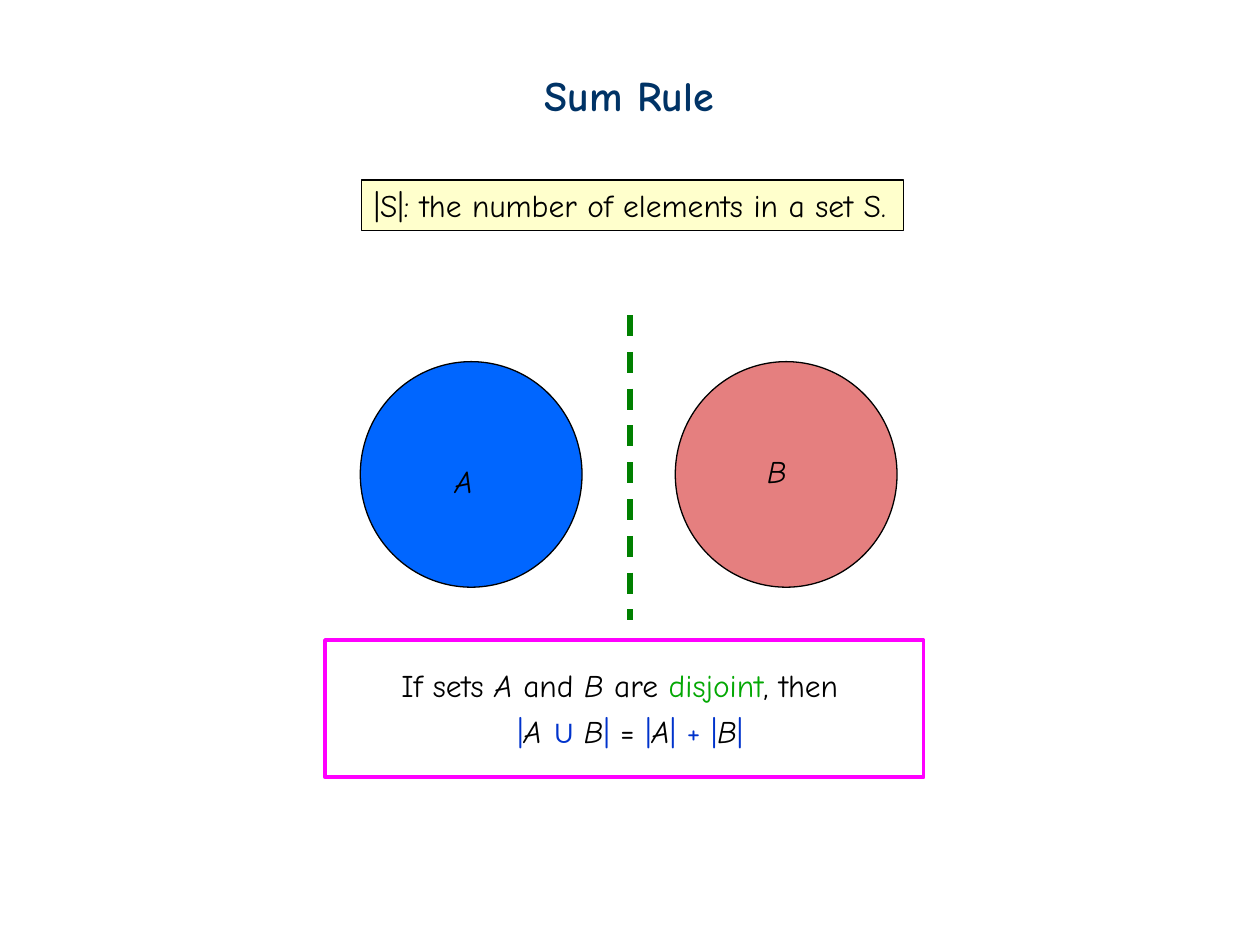
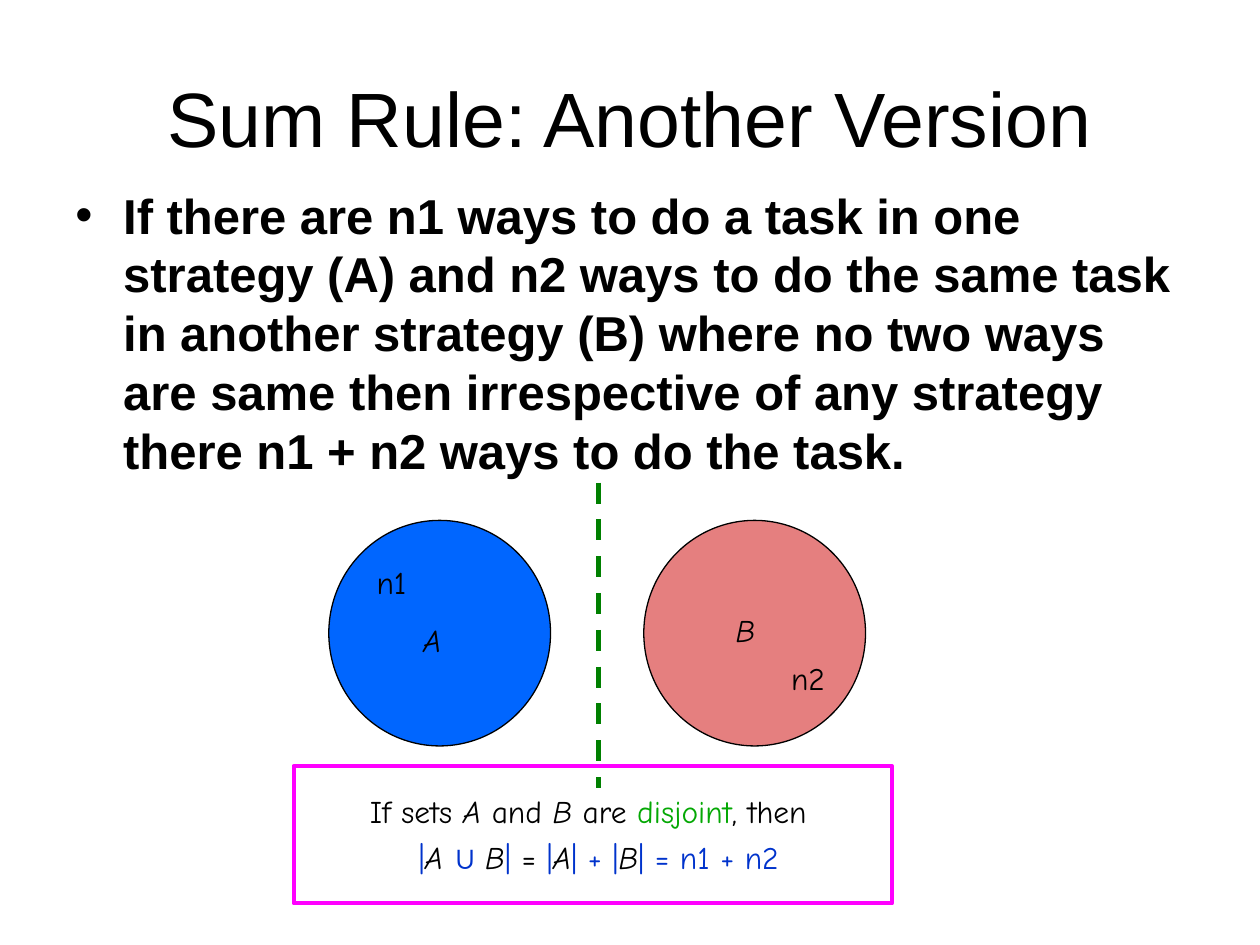
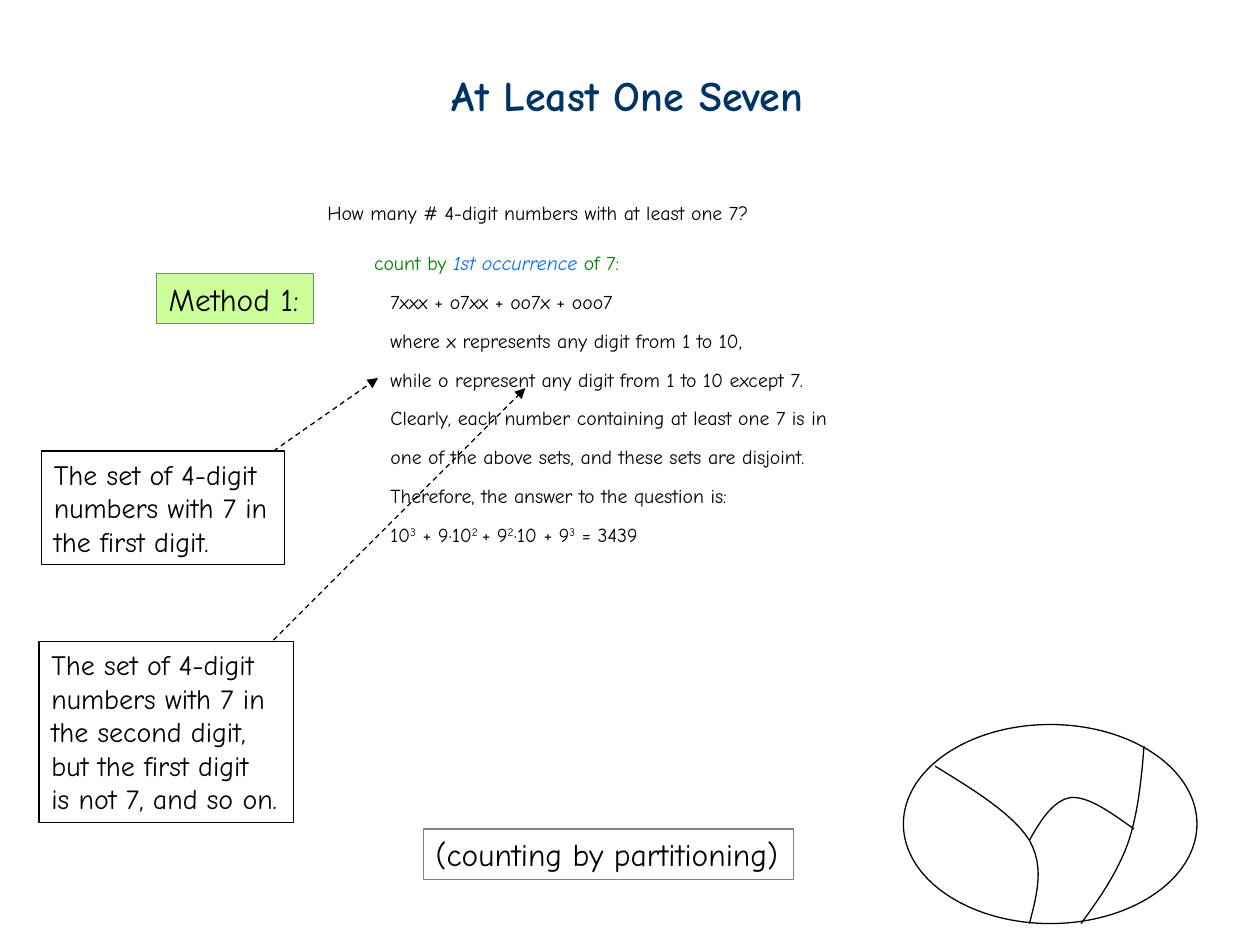
from lxml import etree
from pptx import Presentation
from pptx.dml.color import RGBColor
from pptx.enum.dml import MSO_LINE
from pptx.enum.shapes import MSO_CONNECTOR, MSO_SHAPE
from pptx.enum.text import MSO_ANCHOR, MSO_AUTO_SIZE, PP_ALIGN
from pptx.oxml.ns import qn
from pptx.util import Inches, Pt

BLACK = RGBColor(0x00, 0x00, 0x00)
NAVY = RGBColor(0x00, 0x33, 0x66)
BLUE = RGBColor(0x00, 0x66, 0xFF)
FORMULA_BLUE = RGBColor(0x00, 0x33, 0xCC)
RED = RGBColor(0xCC, 0x00, 0x00)
GREEN = RGBColor(0x00, 0x80, 0x00)
BRIGHT_GREEN = RGBColor(0x04, 0xA8, 0x04)
PALE_GREEN = RGBColor(0xCC, 0xFF, 0x99)
PALE_YELLOW = RGBColor(0xFF, 0xFF, 0xCC)
MAGENTA = RGBColor(0xFF, 0x00, 0xFF)
GRAY = RGBColor(0x80, 0x80, 0x80)

HAND_FONT = "Comic Neue"
PLAIN_FONT = "Arial"
OVAL = MSO_SHAPE.OVAL
RECTANGLE = MSO_SHAPE.RECTANGLE
CENTER = PP_ALIGN.CENTER
FIT_SHAPE = MSO_AUTO_SIZE.SHAPE_TO_FIT_TEXT
FIXED_SIZE = MSO_AUTO_SIZE.NONE
TITLE_ONLY = 5

ITALIC = {"italic": True}
FORMULA = {"color": FORMULA_BLUE}
RAISED = {"baseline": "30000"}


def add_text(slide, box, paragraphs, size=18, wrap=False, fill=None, line=None):
    """Add a text box; a paragraph is a string or a list of (text, format) runs."""
    shape = slide.shapes.add_textbox(*map(Inches, box))
    if fill is not None:
        shape.fill.solid()
        shape.fill.fore_color.rgb = fill
    if line is not None:
        shape.line.color.rgb = line
        shape.line.width = Pt(0.75)
    frame = shape.text_frame
    frame.word_wrap = wrap
    frame.auto_size = FIXED_SIZE if wrap else FIT_SHAPE
    for index, runs in enumerate(paragraphs):
        paragraph = frame.add_paragraph() if index else frame.paragraphs[0]
        paragraph.font.name = HAND_FONT
        paragraph.font.size = Pt(size)
        paragraph.font.color.rgb = BLACK
        for text, style in [(runs, {})] if isinstance(runs, str) else runs:
            run = paragraph.add_run()
            run.text = text
            if "color" in style:
                run.font.color.rgb = style["color"]
            if "italic" in style:
                run.font.italic = True
            if "font" in style:
                run.font.name = style["font"]
            if "baseline" in style:
                run.font._element.set("baseline", style["baseline"])
    return frame


def add_dashed_line(slide, start, end, color, width):
    connector = slide.shapes.add_connector(
        MSO_CONNECTOR.STRAIGHT, *map(Inches, (*start, *end)))
    connector.line.color.rgb = color
    connector.line.width = Pt(width)
    connector.line.dash_style = MSO_LINE.DASH
    etree.SubElement(connector._element.spPr, qn("a:effectLst"))
    return connector


presentation = Presentation()
presentation.slide_width = Inches(10)
presentation.slide_height = Inches(7.5)

# Titles
slides = []
for text, box, font, size, color, bold in [
    ("Sum Rule", (4.22, 0.5, 1.55, 0.5), HAND_FONT, 24, NAVY, True),
    ("Sum Rule: Another Version", (0.5, 0.3, 9, 1.25), PLAIN_FONT, 44, BLACK, False),
    ("At Least One Seven", (3.48, 0.5, 3, 0.5), HAND_FONT, 24, NAVY, True),
]:
    slide = presentation.slides.add_slide(presentation.slide_layouts[TITLE_ONLY])
    slides.append(slide)
    title = slide.shapes.title
    title.left, title.top, title.width, title.height = map(Inches, box)
    frame = title.text_frame
    frame.text = text
    frame.word_wrap = not bold
    frame.auto_size = FIXED_SIZE
    frame.vertical_anchor = MSO_ANCHOR.MIDDLE
    paragraph = frame.paragraphs[0]
    paragraph.alignment = CENTER
    paragraph.font.name = font
    paragraph.font.size = Pt(size)
    paragraph.font.color.rgb = color
    paragraph.font.bold = bold
sum_slide, version_slide, seven_slide = slides

# Second slide: the statement, placed under the diagram
statement = add_text(version_slide, (0.5, 1.42, 9, 4.95), [
    "If there are n1 ways to do a task in one strategy (A) and n2 ways to do the "
    "same task in another strategy (B) where no two ways are same then "
    "irrespective of any strategy there n1 + n2 ways to do the task."], 28, wrap=True)
paragraph = statement.paragraphs[0]
properties = paragraph._p.get_or_add_pPr()
properties.set("marL", str(Inches(0.38)))
properties.set("indent", str(-Inches(0.38)))
properties.insert(0, etree.Element(qn("a:buFont"), typeface=PLAIN_FONT))
properties.insert(1, etree.Element(qn("a:buChar"), char="•"))
paragraph.font.name = PLAIN_FONT
paragraph.font.bold = True

# Outlined shapes: two sets and a frame on each sum slide, the partition on the last
outlines = [(seven_slide, OVAL, (7.17, 5.75, 2.33, 1.58), None, BLACK, 0.75)]
diagrams = [
    (sum_slide, 2.58, 2.87, 2.5, 5.08, "|"),
    (version_slide, 2.33, 4.13, 3.83, 6.08, "| = n1 + n2"),
]
for slide, left, circle_top, divider_top, frame_top, ending in diagrams:
    outlines += [
        (slide, OVAL, (left + 0.28, circle_top, 1.76, 1.79), BLUE, BLACK, 0.75),
        (slide, OVAL, (left + 2.78, circle_top, 1.76, 1.79), RED, BLACK, 0.75),
        (slide, RECTANGLE, (left, frame_top, 4.75, 1.09), None, MAGENTA, 2.25),
    ]
for slide, preset, box, fill, line_color, width in outlines:
    shape = slide.shapes.add_shape(preset, *map(Inches, box))
    shape.shadow.inherit = False
    shape.line.color.rgb = line_color
    shape.line.width = Pt(width)
    if fill is None:
        shape.fill.background()
        continue
    shape.fill.solid()
    shape.fill.fore_color.rgb = fill
    if fill == RED:
        fill_color = shape._element.spPr.find(f"{qn('a:solidFill')}/{qn('a:srgbClr')}")
        etree.SubElement(fill_color, qn("a:alpha"), val="50000")

# Set names, divider and rule of each diagram
for slide, left, circle_top, divider_top, frame_top, ending in diagrams:
    add_text(slide, (left + 0.93, circle_top + 0.75, 0.34, 0.4), [[("A", ITALIC)]])
    add_text(slide, (left + 3.41, circle_top + 0.67, 0.35, 0.4), [[("B", ITALIC)]])
    middle = left + 2.42
    add_dashed_line(slide, (middle, divider_top), (middle, divider_top + 2.42), GREEN, 3)
    rule = add_text(slide, (left + 0.17, frame_top + 0.16, 4.42, 0.77), [
        [("If sets ", {}), ("A", ITALIC), (" and ", {}), ("B", ITALIC), (" are ", {}),
         ("disjoint", {"color": BRIGHT_GREEN}), (", then ", {})],
        [(" ", {}), ("|", FORMULA), ("A ", ITALIC),
         ("∪ ", {"color": FORMULA_BLUE, "font": PLAIN_FONT}), ("B", ITALIC),
         ("|", FORMULA), (" = ", {}), ("|", FORMULA), ("A", ITALIC),
         ("| + |", FORMULA), ("B", ITALIC), (ending, FORMULA)],
    ], wrap=True)
    for paragraph in rule.paragraphs:
        paragraph.alignment = CENTER
    rule.paragraphs[1].space_before = Pt(4.5)

add_text(sum_slide, (2.87, 1.43, 4.3, 0.4),
         ["|S|: the number of elements in a set S."], fill=PALE_YELLOW, line=BLACK)
add_text(version_slide, (2.89, 4.42, 0.46, 0.4), ["n1"])
add_text(version_slide, (6.18, 5.18, 0.49, 0.4), ["n2"])

# Third slide: the counting argument
argument = add_text(seven_slide, (2.5, 1.58, 6.75, 2.58), [
    "How many # 4-digit numbers with at least one 7?",
    [("count by ", {"color": GREEN}),
     ("1st occurrence", {"color": BLUE, "italic": True}),
     (" of 7:", {"color": GREEN})],
    "7xxx + o7xx + oo7x + ooo7",
    "where x represents any digit from 1 to 10,",
    "while o represent any digit from 1 to 10 except 7.",
    "Clearly, each number containing at least one 7 is in",
    "one of the above sets, and these sets are disjoint.",
    "Therefore, the answer to the question is:",
    [("10", {}), ("3", RAISED), (" + 9·10", {}), ("2 ", RAISED), ("+ 9", {}),
     ("2", RAISED), ("·10 + 9", {}), ("3", RAISED), (" = 3439", {})],
], 11.3, wrap=True)
for index, paragraph in enumerate(argument.paragraphs):
    margin, spacing = [(0, 0.8), (0.37, 1.8), (0.5, 1.3)][min(index, 2)]
    paragraph._p.get_or_add_pPr().set("marL", str(Inches(margin)))
    paragraph.line_spacing = spacing
    if index:
        paragraph.space_before = Pt(4.5)

add_text(seven_slide, (1.24, 2.17, 1.25, 0.4), ["Method 1:"], fill=PALE_GREEN, line=GRAY)
add_text(seven_slide, (3.36, 6.58, 2.94, 0.4), ["(counting by partitioning)"], line=GRAY)
set_intro = ["The set of 4-digit", "numbers with 7 in"]
add_text(seven_slide, (0.33, 3.58, 1.93, 0.9),
         set_intro + ["the first digit."], 16, line=BLACK)
add_text(seven_slide, (0.31, 5.09, 2.02, 1.44),
         set_intro + ["the second digit,", "but the first digit", "is not 7, and so on."],
         16, line=BLACK)

for start, end in [((2.17, 3.58), (3, 3)), ((2.17, 5.08), (4.17, 3.08))]:
    arrow = add_dashed_line(seven_slide, start, end, BLACK, 0.75)
    etree.SubElement(arrow._element.spPr.find(qn("a:ln")), qn("a:tailEnd"), type="triangle")

# Partition curves: a start point, then two control points and an end per Bézier segment
STEPS = 12
for curve in [
    [(7.42, 6.08), (7.73, 6.27), (8.04, 6.46), (8.17, 6.67),
     (8.29, 6.88), (8.23, 7.1), (8.17, 7.33)],
    [(8.58, 7.33), (8.72, 7.14), (8.86, 6.94), (8.95, 6.7),
     (9.03, 6.47), (9.06, 6.19), (9.08, 5.92)],
    [(8.17, 6.67), (8.26, 6.51), (8.36, 6.35), (8.5, 6.33),
     (8.64, 6.32), (8.82, 6.45), (9, 6.58)],
]:
    points = []
    for first in range(0, len(curve) - 1, 3):
        segment = curve[first:first + 4]
        for step in range(1, STEPS + 1):
            t = step / STEPS
            weights = ((1 - t) ** 3, 3 * t * (1 - t) ** 2, 3 * t ** 2 * (1 - t), t ** 3)
            points.append([
                Inches(sum(weight * point[axis] for weight, point in zip(weights, segment)))
                for axis in (0, 1)])
    builder = seven_slide.shapes.build_freeform(*map(Inches, curve[0]))
    builder.add_line_segments(points, close=False)
    shape = builder.convert_to_shape()
    shape.shadow.inherit = False
    shape.fill.background()
    shape.line.color.rgb = BLACK
    shape.line.width = Pt(0.75)

presentation.save("out.pptx")
